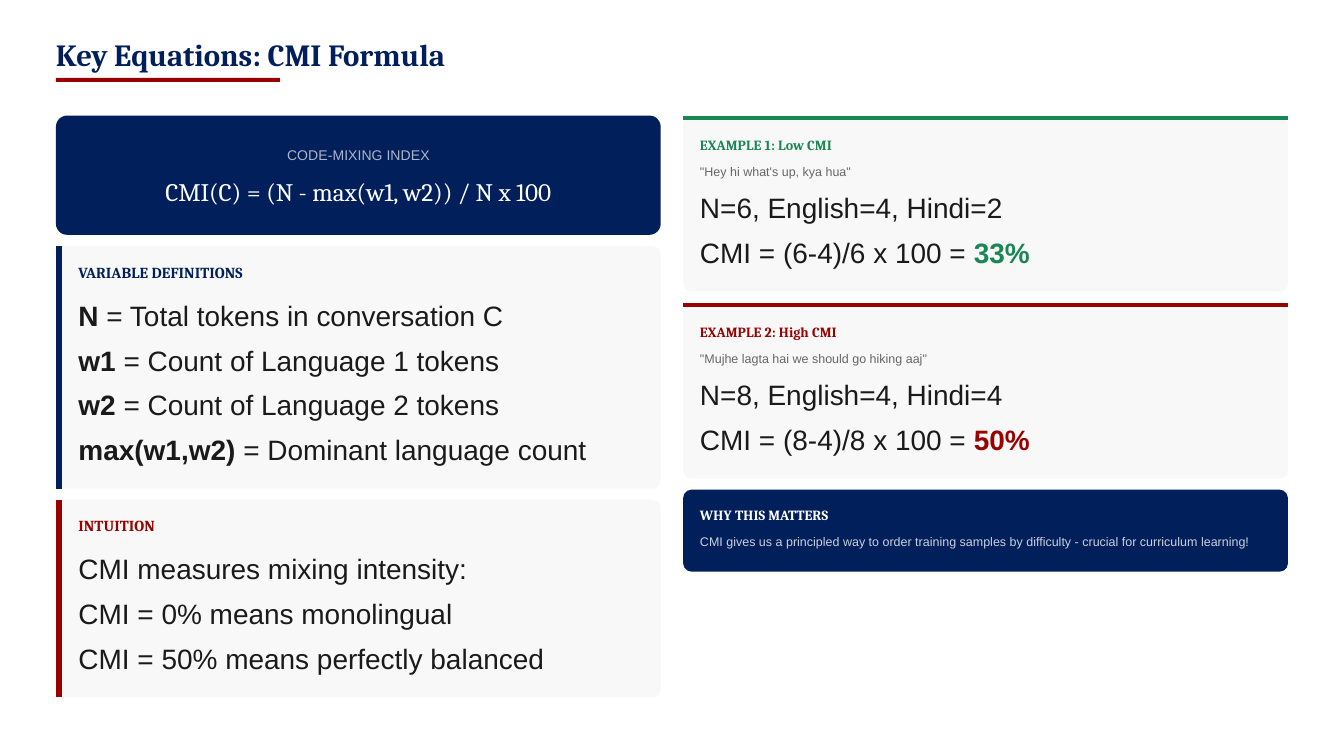
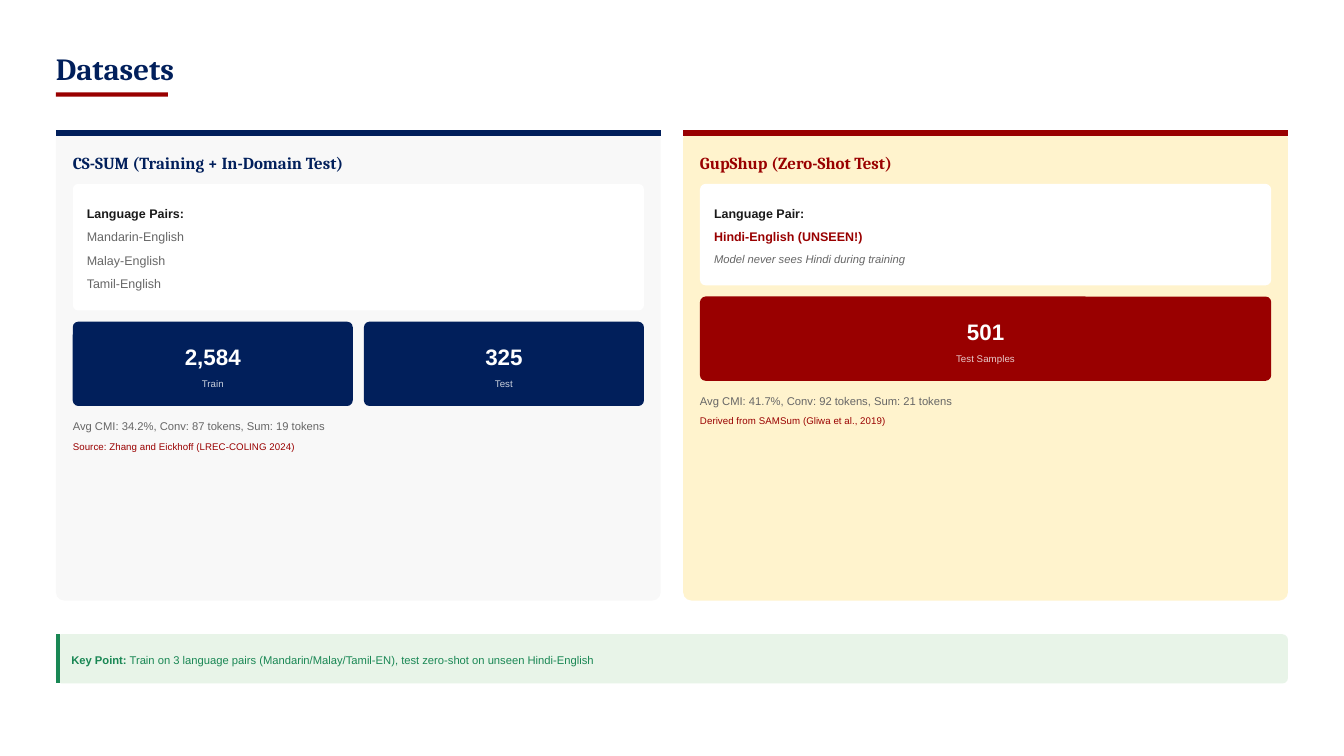
import dataclasses
import typing

import lxml.etree
import pptx
import pptx.dml.color
import pptx.enum.shapes
import pptx.enum.text
import pptx.oxml.ns
import pptx.util

# The grid has 24 units to the inch, so one unit is three points.
UNITS_PER_INCH = 24
POINTS_PER_UNIT = 3
PAGE_COLUMNS = 240
PAGE_ROWS = 135
MARGIN = 10
COLUMN_WIDTH = 108
RIGHT_COLUMN = PAGE_COLUMNS - MARGIN - COLUMN_WIDTH
FULL_WIDTH = PAGE_COLUMNS - 2 * MARGIN
GAP = 2
TWO_CONTENT_LAYOUT = 3

COLORS = {
    "navy": "011F5B",
    "red": "990000",
    "green": "198754",
    "ink": "1A1A1A",
    "muted": "666666",
    "white": "FFFFFF",
    "panel": "F8F8F8",
    "cream": "FFF3CD",
    "mint": "E8F4E8",
}


class Style(typing.NamedTuple):
    size: float
    color: str
    after: float = 3
    font: str = "Arial"
    leading: float = 1.4
    bold: bool = False
    italic: bool = False
    centered: bool = False
    opacity: int = 100

    @property
    def pitch(self) -> float:
        """Height of one line and the space after it, in grid units."""
        return (self.size * self.leading + self.after) / POINTS_PER_UNIT


class Span(typing.NamedTuple):
    text: str
    style: Style


Line = list[Span]


def heading(text: str, color: str, size: float, after: float) -> Line:
    return [Span(text, Style(size, color, after, "Cambria", 1.2, bold=True))]


TITLE = Style(16.5, "navy", 0, "Cambria", 1, bold=True)
LABEL = Style(7.5, "white", 4.5, centered=True, opacity=67)
FORMULA = Style(13.5, "white", font="Cambria", centered=True)
LARGE = Style(15, "ink")
SMALL = Style(6.75, "muted")
DETAIL = Style(6, "muted")
SOURCE = Style(5.25, "red")
FIGURE = Style(12, "white", bold=True, centered=True)
CAPTION = Style(5.25, "white", centered=True, opacity=80)


@dataclasses.dataclass
class Card:
    """A rounded panel, as high as its lines unless a height is given."""
    left: float
    top: float
    fill: str
    lines: list[Line]
    width: float = COLUMN_WIDTH
    radius: float = 1.5
    inset: float = 3
    pad_top: float = 3
    pad_bottom: float = 3
    fixed_height: float = 0
    accent: str = ""
    accent_side: str = "top"
    accent_points: float = 3

    @property
    def height(self) -> float:
        return self.fixed_height or self.pad_top + lines_height(self.lines) + self.pad_bottom

    @property
    def bottom(self) -> float:
        return self.top + self.height


class Dataset(typing.NamedTuple):
    name: str
    left: float
    fill: str
    color: str
    pairs: list[Line]
    figures: list[tuple[str, str]]
    averages: str
    source: str


def lines_height(lines: list[Line]) -> float:
    return sum(line[0].style.pitch for line in lines)


def units(count: float) -> pptx.util.Length:
    return pptx.util.Inches(count / UNITS_PER_INCH)


def rgb(color: str) -> pptx.dml.color.RGBColor:
    return pptx.dml.color.RGBColor.from_string(COLORS[color])


def write_lines(box, lines: list[Line]) -> None:
    frame = box.text_frame
    frame.word_wrap = True
    frame.auto_size = pptx.enum.text.MSO_AUTO_SIZE.NONE
    frame.vertical_anchor = pptx.enum.text.MSO_ANCHOR.TOP
    frame.margin_left = frame.margin_right = frame.margin_top = frame.margin_bottom = 0
    for index, line in enumerate(lines):
        para = frame.add_paragraph() if index else frame.paragraphs[0]
        style = line[0].style
        if box.is_placeholder:
            properties = para._p.get_or_add_pPr()
            properties.set("marL", "0")
            properties.set("indent", "0")
            lxml.etree.SubElement(properties, pptx.oxml.ns.qn("a:buNone"))
        align = pptx.enum.text.PP_ALIGN
        para.alignment = align.CENTER if style.centered else align.LEFT
        para.line_spacing = pptx.util.Pt(style.size * style.leading)
        para.space_before = pptx.util.Pt(0)
        para.space_after = pptx.util.Pt(style.after)
        for span in line:
            add_run(para, span)


def add_run(para, span: Span) -> None:
    run = para.add_run()
    run.text = span.text
    font = run.font
    font.name = span.style.font
    font.size = pptx.util.Pt(span.style.size)
    font.bold = span.style.bold
    font.italic = span.style.italic
    font.color.rgb = rgb(span.style.color)
    if span.style.opacity < 100:
        color = run._r.find(".//" + pptx.oxml.ns.qn("a:srgbClr"))
        alpha = lxml.etree.SubElement(color, pptx.oxml.ns.qn("a:alpha"))
        alpha.set("val", str(span.style.opacity * 1000))


def stack_lines(slide, left: float, top: float, width: float, lines: list[Line]) -> float:
    """Put each line in its own text box and return where the next would start."""
    for line in lines:
        pitch = line[0].style.pitch
        height = pitch - line[0].style.after / POINTS_PER_UNIT
        box = slide.shapes.add_textbox(units(left), units(top), units(width), units(height))
        write_lines(box, [line])
        top += pitch
    return top


def fill_placeholder(slide, index: int, left: float, top: float, width: float,
                     height: float, lines: list[Line]) -> None:
    """Move a placeholder to its place, in front of what is drawn so far."""
    box = slide.placeholders[index]
    box.left, box.top = units(left), units(top)
    box.width, box.height = units(width), units(height)
    write_lines(box, lines)
    slide.shapes.element.append(box.element)


def add_panel(slide, left: float, top: float, width: float, height: float,
              fill: str, radius: float = 0) -> None:
    presets = pptx.enum.shapes.MSO_SHAPE
    panel = slide.shapes.add_shape(
        presets.ROUNDED_RECTANGLE if radius else presets.RECTANGLE,
        units(left), units(top), units(width), units(height))
    if radius:
        panel.adjustments[0] = radius / min(width, height)
    panel.shadow.inherit = False
    panel.fill.solid()
    panel.fill.fore_color.rgb = rgb(fill)
    panel.line.fill.background()


def add_accent(slide, card: Card) -> None:
    half = card.accent_points / POINTS_PER_UNIT / 2
    if card.accent_side == "left":
        ends = (card.left + half, card.top, card.left + half, card.bottom)
    else:
        ends = (card.left, card.top + half, card.left + card.width, card.top + half)
    line = slide.shapes.add_connector(
        pptx.enum.shapes.MSO_CONNECTOR.STRAIGHT, *(units(end) for end in ends))
    line.line.color.rgb = rgb(card.accent)
    line.line.width = pptx.util.Pt(card.accent_points)
    lxml.etree.SubElement(line._element.spPr, pptx.oxml.ns.qn("a:effectLst"))


def draw_card(slide, card: Card, placeholder: int = 0, headings: int = 0) -> float:
    """Draw a card; with a placeholder, the lines after the headings form its list."""
    add_panel(slide, card.left, card.top, card.width, card.height, card.fill, card.radius)
    if card.accent:
        add_accent(slide, card)
    left, width = card.left + card.inset, card.width - card.inset - 1
    if card.lines[0][0].style.centered:
        width = card.width - 2 * card.inset
    stacked = card.lines[:headings] if placeholder else card.lines
    top = stack_lines(slide, left, card.top + card.pad_top, width, stacked)
    if placeholder:
        rows = card.lines[headings:]
        fill_placeholder(slide, placeholder, left, top, width, lines_height(rows), rows)
    return card.bottom


def add_titled_slide(deck, title: str, top: float, rule_width: float):
    """Return a new slide and the top of its content."""
    slide = deck.slides.add_slide(deck.slide_layouts[TWO_CONTENT_LAYOUT])
    fill_placeholder(slide, 0, MARGIN, top, 112.5, TITLE.pitch, [[Span(title, TITLE)]])
    add_panel(slide, MARGIN, top + 6.5, rule_width, 0.75, "red")
    return slide, top + 13.25


def build_formula_slide(deck) -> None:
    slide, top = add_titled_slide(deck, "Key Equations: CMI Formula", 7.4, 40)
    formula = [[Span("CODE-MIXING INDEX", LABEL)],
               [Span("CMI(C) = (N - max(w1, w2)) / N x 100", FORMULA)]]
    bottom = draw_card(slide, Card(MARGIN, top, "navy", formula, radius=2,
                                   pad_top=5, pad_bottom=4))
    definitions = [("N", "Total tokens in conversation C"),
                   ("w1", "Count of Language 1 tokens"),
                   ("w2", "Count of Language 2 tokens"),
                   ("max(w1,w2)", "Dominant language count")]
    meanings = ["CMI measures mixing intensity:", "CMI = 0% means monolingual",
                "CMI = 50% means perfectly balanced"]
    lists = [
        ("VARIABLE DEFINITIONS", "navy",
         [[Span(name, LARGE._replace(bold=True)), Span(f" = {meaning}", LARGE)]
          for name, meaning in definitions]),
        ("INTUITION", "red", [[Span(meaning, LARGE)] for meaning in meanings]),
    ]
    for placeholder, (name, color, rows) in enumerate(lists, start=1):
        card = Card(MARGIN, bottom + GAP, "panel", [heading(name, color, 8.25, 6)] + rows,
                    inset=4, accent=color, accent_side="left")
        bottom = draw_card(slide, card, placeholder, headings=1)

    examples = [
        ("EXAMPLE 1: Low CMI", "green", "\"Hey hi what's up, kya hua\"",
         "N=6, English=4, Hindi=2", "CMI = (6-4)/6 x 100 = ", "33%"),
        ("EXAMPLE 2: High CMI", "red", "\"Mujhe lagta hai we should go hiking aaj\"",
         "N=8, English=4, Hindi=4", "CMI = (8-4)/8 x 100 = ", "50%"),
    ]
    for name, color, quote, counts, working, result in examples:
        lines = [heading(name, color, 7.5, 4.5), [Span(quote, SMALL)], [Span(counts, LARGE)],
                 [Span(working, LARGE), Span(result, LARGE._replace(color=color, bold=True))]]
        top = GAP + draw_card(slide, Card(RIGHT_COLUMN, top, "panel", lines, pad_top=3.75,
                                          accent=color, accent_points=2.25))
    reason = ("CMI gives us a principled way to order training samples by difficulty"
              " - crucial for curriculum learning!")
    draw_card(slide, Card(RIGHT_COLUMN, top, "navy", [
        heading("WHY THIS MATTERS", "white", 7.5, 4.5),
        [Span(reason, SMALL._replace(color="white", opacity=80))]]))


def draw_dataset(slide, dataset: Dataset, top: float, placeholder: int) -> float:
    name = heading(dataset.name, dataset.color, 9, 6)
    panel = Card(dataset.left, top, dataset.fill, [name], pad_top=4, fixed_height=84,
                 accent=dataset.color)
    draw_card(slide, panel)
    left, width = panel.left + panel.inset, panel.width - 2 * panel.inset
    pairs = Card(left, top + panel.pad_top + lines_height([name]), "white", dataset.pairs,
                 width, radius=1, inset=2.5, pad_top=3.5, pad_bottom=2.5)
    figures_top = draw_card(slide, pairs, placeholder) + GAP
    count = len(dataset.figures)
    figure_width = (width - GAP * (count - 1)) / count
    for index, (value, caption) in enumerate(dataset.figures):
        figure = Card(left + index * (figure_width + GAP), figures_top, dataset.color,
                      [[Span(value, FIGURE)], [Span(caption, CAPTION)]],
                      figure_width, radius=1, inset=1, pad_bottom=2)
        notes_top = draw_card(slide, figure) + GAP
    stack_lines(slide, left, notes_top, 104,
                [[Span(dataset.averages, DETAIL)], [Span(dataset.source, SOURCE)]])
    return panel.bottom


def build_datasets_slide(deck) -> None:
    slide, top = add_titled_slide(deck, "Datasets", 10, 20)
    strong = SMALL._replace(color="ink", bold=True)
    languages = ["Mandarin", "Malay", "Tamil"]
    datasets = [
        Dataset("CS-SUM (Training + In-Domain Test)", MARGIN, "panel", "navy",
                [[Span("Language Pairs:", strong)]]
                + [[Span(f"{language}-English", SMALL)] for language in languages],
                [("2,584", "Train"), ("325", "Test")],
                "Avg CMI: 34.2%, Conv: 87 tokens, Sum: 19 tokens",
                "Source: Zhang and Eickhoff (LREC-COLING 2024)"),
        Dataset("GupShup (Zero-Shot Test)", RIGHT_COLUMN, "cream", "red",
                [[Span("Language Pair:", strong)],
                 [Span("Hindi-English (UNSEEN!)", strong._replace(color="red"))],
                 [Span("Model never sees Hindi during training",
                       DETAIL._replace(italic=True))]],
                [("501", "Test Samples")],
                "Avg CMI: 41.7%, Conv: 92 tokens, Sum: 21 tokens",
                "Derived from SAMSum (Gliwa et al., 2019)"),
    ]
    for placeholder, dataset in enumerate(datasets, start=1):
        bottom = draw_dataset(slide, dataset, top, placeholder)
    key = DETAIL._replace(color="green")
    key_point = [Span("Key Point:", key._replace(bold=True)),
                 Span(" Train on 3 language pairs (Mandarin/Malay/Tamil-EN),"
                      " test zero-shot on unseen Hindi-English", key)]
    draw_card(slide, Card(MARGIN, bottom + 6, "mint", [key_point], FULL_WIDTH, radius=1,
                          inset=2.75, pad_bottom=2, accent="green", accent_side="left",
                          accent_points=2.25))


def main() -> None:
    deck = pptx.Presentation()
    deck.slide_width = units(PAGE_COLUMNS)
    deck.slide_height = units(PAGE_ROWS)
    build_formula_slide(deck)
    build_datasets_slide(deck)
    deck.save("out.pptx")


if __name__ == "__main__":
    main()
